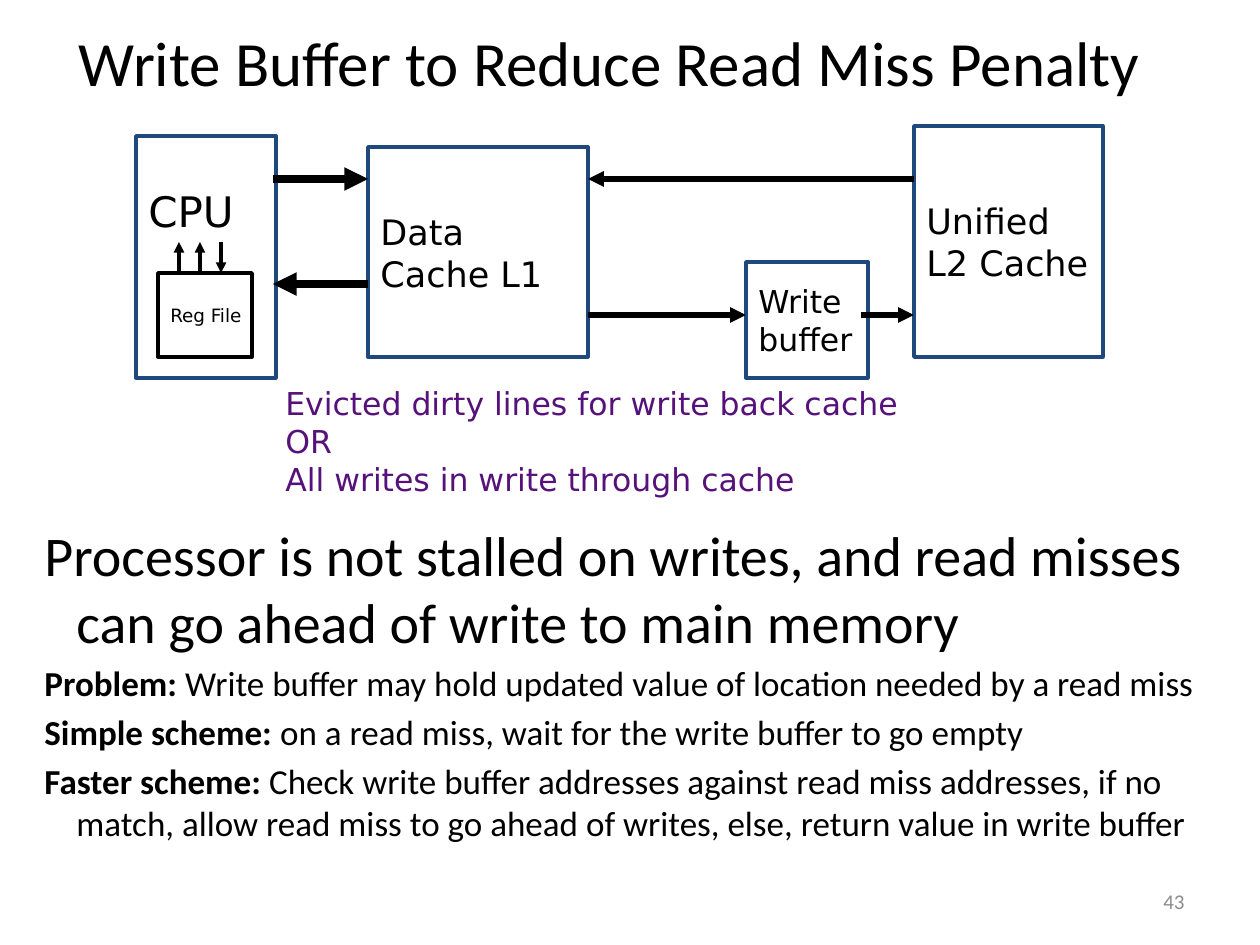
"""Build the write buffer slide with its cache diagram."""
from lxml import etree
from pptx import Presentation
from pptx import util as u
from pptx.dml.color import RGBColor
from pptx.enum import shapes, text
from pptx.oxml import ns

SCALE = 914400 / 126
BLACK = RGBColor(0x00, 0x00, 0x00)
WHITE = RGBColor(0xFF, 0xFF, 0xFF)
GRAY = RGBColor(0x8C, 0x8C, 0x8C)
NAVY = RGBColor(0x1F, 0x49, 0x7D)
PURPLE = RGBColor(0x56, 0x12, 0x7A)
BODY, LABEL = "Calibri", "DejaVu Sans"
LEFT, CENTER, RIGHT = text.PP_ALIGN.LEFT, text.PP_ALIGN.CENTER, text.PP_ALIGN.RIGHT
TOP, MIDDLE = text.MSO_ANCHOR.TOP, text.MSO_ANCHOR.MIDDLE
HANG = 32

POINTS = [
    (32, "", "Processor is not stalled on writes, and read misses "
             "can go ahead of write to main memory"),
    (20, "Problem:", " Write buffer may hold updated value of location "
                     "needed by a read miss"),
    (20, "Simple scheme: ", "on a read miss, wait for the write buffer to go empty"),
    (20, "Faster scheme:", " Check write buffer addresses against read miss addresses, "
                           "if no match, allow read miss to go ahead of writes, "
                           "else, return value in write buffer"),
]
BOXES = [
    ((136, 136, 140, 242), NAVY, [], 20, True),
    ((368, 147, 220, 210), NAVY, ["Data Cache L1"], 20, True),
    ((914, 126, 189, 231), NAVY, ["Unified L2 Cache"], 20, True),
    ((158, 273, 94, 84), BLACK, ["Reg File"], 10.5, False),
    ((746, 262, 122, 116), NAVY, ["Write", "buffer"], 18, True),
]
ARROWS = [
    ((273, 179), (368, 179), 4.5),
    ((368, 284), (273, 284), 4.5),
    ((179, 273), (179, 242), 2),
    ((200, 273), (200, 242), 2),
    ((221, 242), (221, 273), 2),
    ((588, 315), (746, 315), 3),
    ((914, 179), (588, 179), 3),
    ((861, 315), (914, 315), 3),
]
NOTE = ["Evicted dirty lines for write back cache", "OR",
        "All writes in write through cache"]


def px(*values):
    """Turn pixel lengths into EMU."""
    return [u.Emu(round(v * SCALE)) for v in values]


def add_run(p, wording, size, font=BODY, color=BLACK, bold=False):
    """Append one formatted run to a paragraph."""
    r = p.add_run()
    r.text = wording
    for name, value in {"name": font, "size": u.Pt(size), "bold": bold}.items():
        setattr(r.font, name, value)
    r.font.color.rgb = color


def fill_text(tf, lines, size, font=LABEL, color=BLACK, align=LEFT,
              anchor=MIDDLE, wrap=True):
    """Write lines into a text frame, one paragraph each."""
    for name, value in {"word_wrap": wrap, "vertical_anchor": anchor}.items():
        setattr(tf, name, value)
    for i, line in enumerate(lines):
        p = tf.add_paragraph() if i else tf.paragraphs[0]
        p.alignment = align
        add_run(p, line, size, font, color)


def add_label(s, at, lines, size, **style):
    """Add a free text box."""
    fill_text(s.shapes.add_textbox(*px(*at)).text_frame, lines, size, **style)


def add_box(s, at, color, lines, size, wrap):
    """Add an outlined white block with its name."""
    sp = s.shapes.add_shape(shapes.MSO_SHAPE.RECTANGLE, *px(*at))
    sp.shadow.inherit = False
    sp.fill.solid()
    sp.fill.fore_color.rgb = WHITE
    sp.line.color.rgb = color
    sp.line.width = u.Pt(2)
    fill_text(sp.text_frame, lines, size, wrap=wrap)


def add_arrow(s, start, end, width):
    """Add a black line with an arrowhead at its end."""
    c = s.shapes.add_connector(shapes.MSO_CONNECTOR.STRAIGHT, *px(*start, *end))
    c.line.color.rgb = BLACK
    c.line.width = u.Pt(width)
    etree.SubElement(c.line._get_or_add_ln(), ns.qn("a:tailEnd"), type="triangle")
    etree.SubElement(c._element.spPr, ns.qn("a:effectLst"))


def add_points(s, at):
    """Add the hanging paragraphs, spaced by a fifth of their size."""
    tf = s.shapes.add_textbox(*px(*at)).text_frame
    tf.word_wrap = True
    hang, = px(HANG)
    for i, (size, lead, wording) in enumerate(POINTS):
        p = tf.add_paragraph() if i else tf.paragraphs[0]
        pPr = p._p.get_or_add_pPr()
        for name, value in {"marL": hang, "indent": -hang}.items():
            pPr.set(name, str(int(value)))
        if i:
            p.space_before = u.Pt(size * 0.2)
        if lead:
            add_run(p, lead, size, bold=True)
        add_run(p, wording, size)


def main():
    """Build and save the slide."""
    prs = Presentation()
    prs.slide_width, prs.slide_height = px(1260, 945)
    s = prs.slides.add_slide(prs.slide_layouts[6])
    add_label(s, (32, 10, 1155, 102), ["Write Buffer to Reduce Read Miss Penalty"],
              36, font=BODY, align=CENTER)
    add_points(s, (32, 514, 1228, 336))
    for box in BOXES:
        add_box(s, *box)
    add_label(s, (136, 179, 136, 63), ["CPU"], 24, anchor=TOP)
    add_label(s, (273, 378, 746, 126), NOTE, 18, color=PURPLE, anchor=TOP)
    for arrow in ARROWS:
        add_arrow(s, *arrow)
    add_label(s, (903, 876, 294, 50), ["43"], 12, font=BODY, color=GRAY, align=RIGHT)
    prs.save("out.pptx")


if __name__ == "__main__":
    main()
